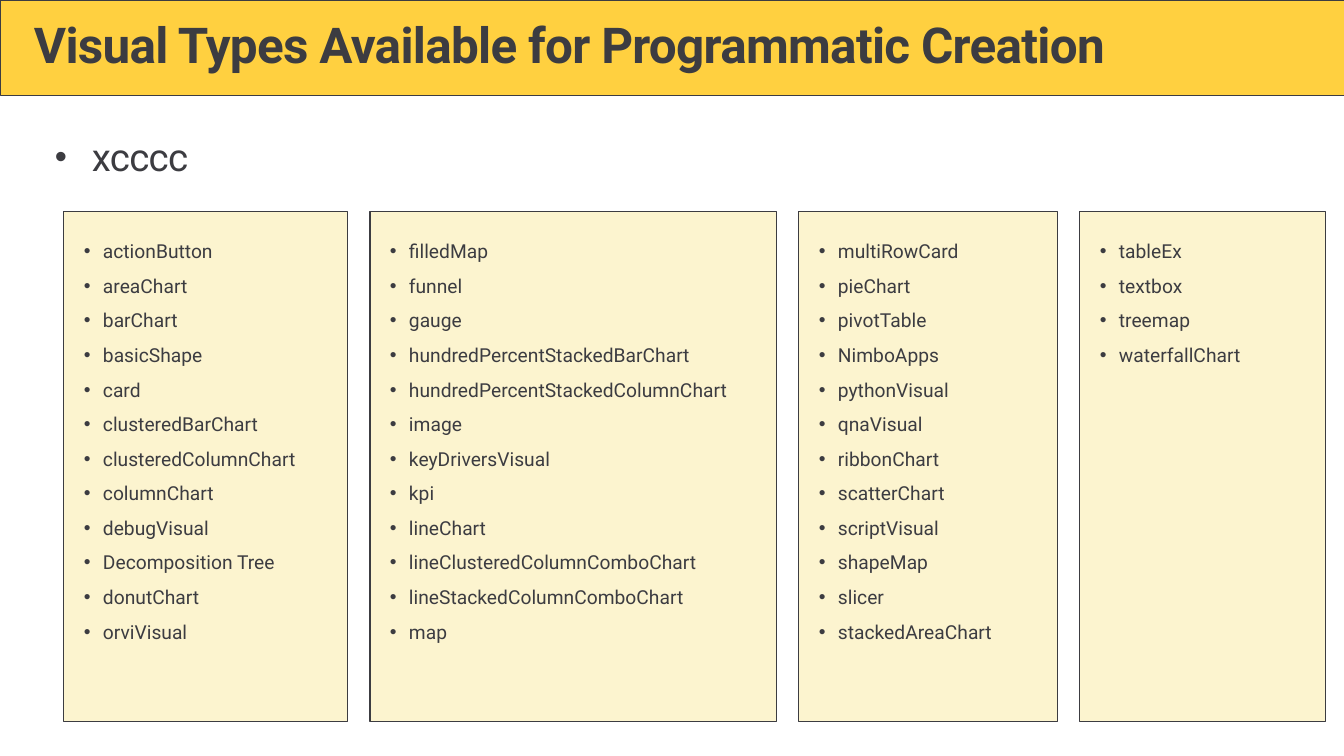
from lxml.etree import SubElement
from pptx import Presentation
from pptx.dml.color import RGBColor
from pptx.enum.shapes import MSO_SHAPE
from pptx.enum.text import MSO_ANCHOR, PP_ALIGN
from pptx.oxml.ns import qn
from pptx.util import Pt

PX = 9255  # EMU per px

THEME = {
    "font": "Roboto",
    "ink": RGBColor.from_string("3C3C41"),
    "banner": RGBColor.from_string("FFD040"),
    "card": RGBColor.from_string("FCF4CF"),
    "title_size": Pt(36),
    "body_size": Pt(28),
    "list_size": Pt(14),
}

TITLE = "Visual Types Available for Programmatic Creation"
BODY = "xcccc"
CARD_TOP, CARD_HEIGHT, CARD_GAP, FIRST_LEFT = 212, 510, 22, 64
CARDS = [
    (284, ["actionButton", "areaChart", "barChart", "basicShape", "card",
           "clusteredBarChart", "clusteredColumnChart", "columnChart",
           "debugVisual", "Decomposition Tree", "donutChart", "orviVisual"]),
    (407, ["filledMap", "funnel", "gauge", "hundredPercentStackedBarChart",
           "hundredPercentStackedColumnChart", "image", "keyDriversVisual",
           "kpi", "lineChart", "lineClusteredColumnComboChart",
           "lineStackedColumnComboChart", "map"]),
    (259, ["multiRowCard", "pieChart", "pivotTable", "NimboApps",
           "pythonVisual", "qnaVisual", "ribbonChart", "scatterChart",
           "scriptVisual", "shapeMap", "slicer", "stackedAreaChart"]),
    (246, ["tableEx", "textbox", "treemap", "waterfallChart"]),
]


def add_rect(left, top, width, height, fill, line_width):
    sp = slide.shapes.add_shape(
        MSO_SHAPE.RECTANGLE, left * PX, top * PX, width * PX, height * PX)
    sp.shadow.inherit = False
    sp.fill.solid()
    sp.fill.fore_color.rgb = fill
    sp.line.color.rgb = THEME["ink"]
    sp.line.width = Pt(line_width)
    return sp


def write_lines(tf, lines, size, spacing, inset=(0, 0), anchor=MSO_ANCHOR.TOP,
                indent=0, bullet_pct=100, tracking=0, bold=False):
    """Fill a text frame; a non-zero indent (px) turns the lines into bullets."""
    x, y = (n * PX for n in inset)
    frame_format = {"word_wrap": True, "vertical_anchor": anchor,
                    "margin_left": x, "margin_right": x,
                    "margin_top": y, "margin_bottom": y}
    for name, value in frame_format.items():
        setattr(tf, name, value)
    for i, line in enumerate(lines):
        p = tf.add_paragraph() if i else tf.paragraphs[0]
        if indent:
            pPr = p._p.get_or_add_pPr()
            pPr.set("marL", str(indent * PX))
            pPr.set("indent", str(-indent * PX))
            SubElement(pPr, qn("a:buSzPct"), val=str(bullet_pct * 1000))
            SubElement(pPr, qn("a:buFont"), typeface="Arial")
            SubElement(pPr, qn("a:buChar"), char="•")
        p.alignment = PP_ALIGN.LEFT
        p.line_spacing = spacing
        r = p.add_run()
        r.text = line
        font_format = {"name": THEME["font"], "size": size, "bold": bold}
        for name, value in font_format.items():
            setattr(r.font, name, value)
        r.font.color.rgb = THEME["ink"]
        if tracking:
            r._r.get_or_add_rPr().set("spc", str(tracking))


prs = Presentation()
prs.slide_width, prs.slide_height = 1344 * PX, 756 * PX
slide = prs.slides.add_slide(prs.slide_layouts[6])

add_rect(0, 0, 1344, 95, THEME["banner"], 0.5)

title = slide.shapes.add_textbox(34 * PX, 21 * PX, 1275 * PX, 54 * PX)
write_lines(title.text_frame, [TITLE], THEME["title_size"], 0.9,
            anchor=MSO_ANCHOR.MIDDLE, tracking=-50, bold=True)

body = slide.shapes.add_textbox(55 * PX, 133 * PX, 1275 * PX, 46 * PX)
write_lines(body.text_frame, [BODY], THEME["body_size"], 1.0,
            indent=37, bullet_pct=90, tracking=-50)

left = FIRST_LEFT
for width, visuals in CARDS:
    card = add_rect(left, CARD_TOP, width, CARD_HEIGHT, THEME["card"], 0.75)
    write_lines(card.text_frame, visuals, THEME["list_size"], 1.5,
                inset=(20, 16), indent=19)
    left += width + CARD_GAP

prs.save("out.pptx")
